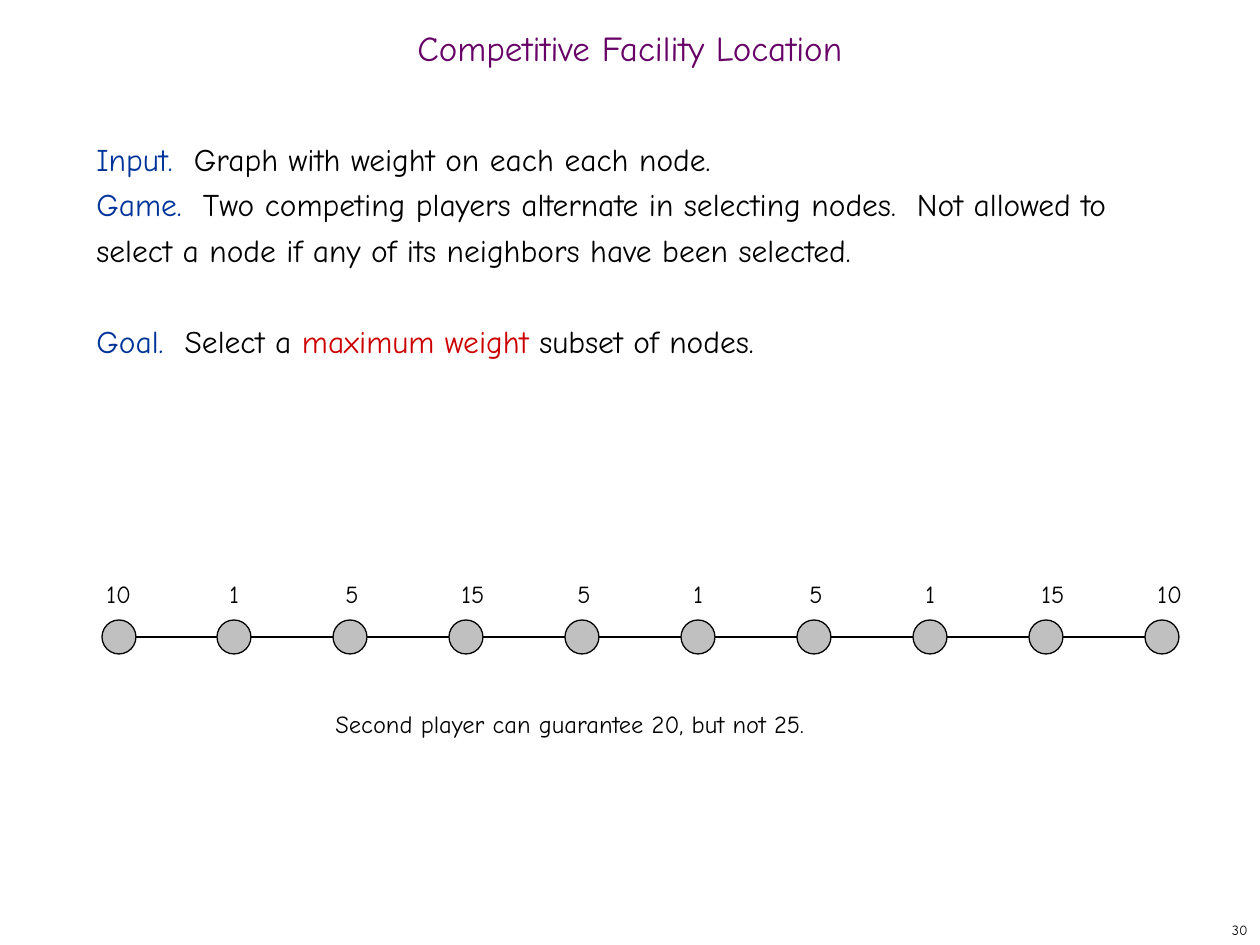
from lxml import etree
from pptx import Presentation
from pptx import util as u
from pptx.dml.color import RGBColor
from pptx.enum import shapes, text
from pptx.oxml.ns import qn

PX = 914400 // 126
FONT = "Comic Neue"
COLORS = {
    "title": "660066",
    "term": "003399",
    "body": "000000",
    "stress": "CC0000",
    "node": "C0C0C0",
    "line": "000000",
}

deck = Presentation()
deck.slide_width, deck.slide_height = u.Inches(10), u.Inches(7.5)
page = deck.slides.add_slide(deck.slide_layouts[6])


def add_text(paragraphs, left, top, width, height, size=14, align="LEFT",
             anchor="TOP", wrap=True, spacing=None, before=()):
    """Each paragraph is a list of (words, color name) spans."""
    box = page.shapes.add_textbox(left * PX, top * PX, width * PX, height * PX)
    frame = box.text_frame
    frame.word_wrap = wrap
    frame.vertical_anchor = getattr(text.MSO_ANCHOR, anchor)
    for index, spans in enumerate(paragraphs):
        para = frame.add_paragraph() if index else frame.paragraphs[0]
        para.alignment = getattr(text.PP_ALIGN, align)
        para.line_spacing = spacing
        if index in before:
            para.space_before = spacing
        for words, color in spans:
            span = para.add_run()
            span.text = words
            span.font.name = FONT
            span.font.size = u.Pt(size)
            span.font.color.rgb = RGBColor.from_string(COLORS[color])


# Title
add_text([[("Competitive Facility Location", "title")]], 0, 21, 1260, 63,
         size=20, align="CENTER", anchor="MIDDLE", spacing=0.7)

# Problem statement
statement = [
    [("Input.  ", "term"), ("Graph with weight on each each node.", "body")],
    [("Game.  ", "term"),
     ("Two competing players alternate in selecting nodes.  Not allowed to "
      "select a node if any of its neighbors have been selected.", "body")],
    [("Goal.  ", "term"), ("Select a ", "body"),
     ("maximum weight", "stress"), (" subset of nodes.", "body")],
]
add_text(statement, 84, 126, 1081, 746, size=18, spacing=u.Pt(26), before=(2,))

# Path graph: evenly spaced nodes with their weights above
weights = [10, 1, 5, 15, 5, 1, 5, 1, 15, 10]
label_widths = {1: 36, 5: 39, 10: 50, 15: 50}
first, last, node_top, diameter = 102, 1145, 620, 34
middle = node_top + diameter // 2
lefts = [first + i * (last - first) // (len(weights) - 1)
         for i in range(len(weights))]

for left, weight in zip(lefts, weights):
    node = page.shapes.add_shape(shapes.MSO_SHAPE.OVAL, left * PX,
                                 node_top * PX, diameter * PX, diameter * PX)
    node.shadow.inherit = False
    node.fill.solid()
    node.fill.fore_color.rgb = RGBColor.from_string(COLORS["node"])
    node.line.color.rgb = RGBColor.from_string(COLORS["line"])
    node.line.width = u.Pt(0.75)
    label_left = left - 8 if left == first else left
    add_text([[(str(weight), "body")]], label_left, 573,
             label_widths[weight], 42, wrap=False)

# Edges between neighbouring nodes
for left, following in zip(lefts, lefts[1:]):
    edge = page.shapes.add_connector(
        shapes.MSO_CONNECTOR.STRAIGHT, (left + diameter) * PX, middle * PX,
        following * PX, middle * PX)
    edge.line.color.rgb = RGBColor.from_string(COLORS["line"])
    edge.line.width = u.Pt(0.75)
    etree.SubElement(edge._element.spPr, qn("a:effectLst"))

# Remark and page number
add_text([[("Second player can guarantee 20, but not 25.", "body")]],
         323, 703, 496, 42, wrap=False)
add_text([[("30", "body")]], 998, 914, 262, 31, size=8, align="RIGHT",
         anchor="MIDDLE")

deck.save("out.pptx")
